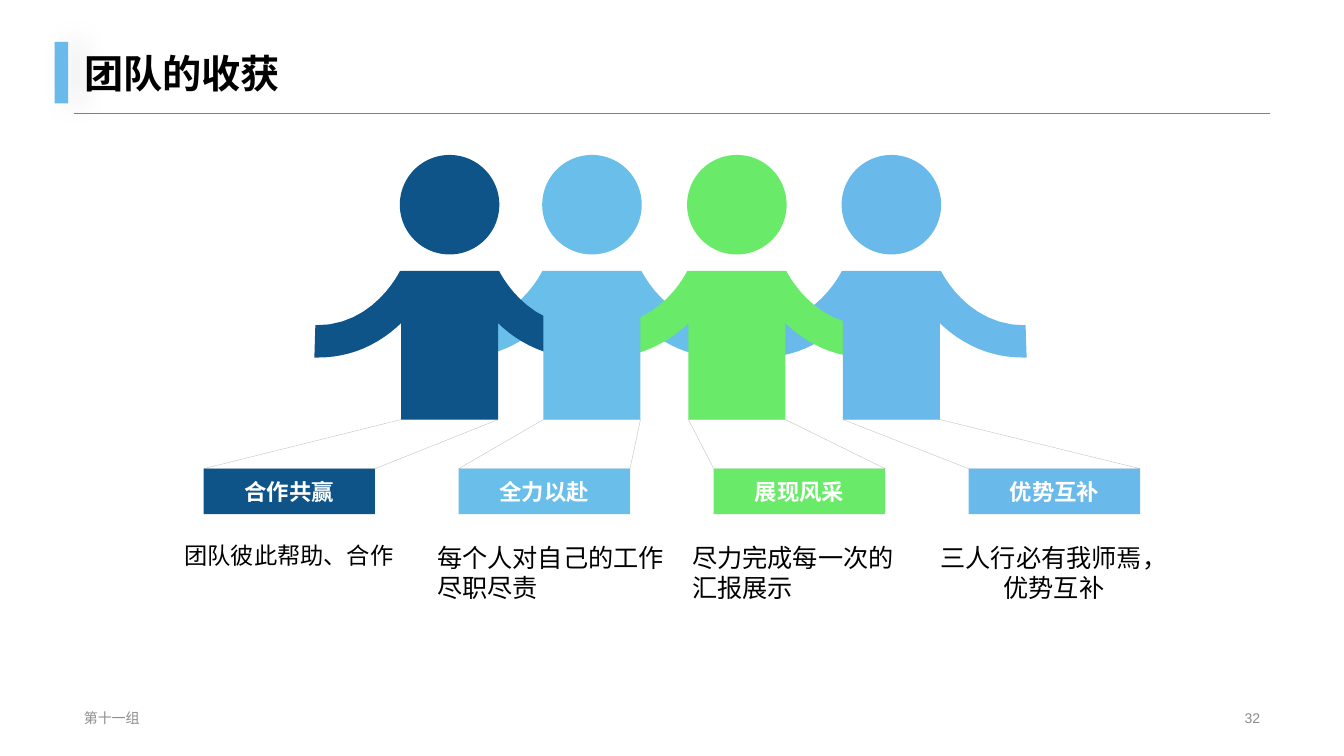
from dataclasses import dataclass

from lxml import etree
from pptx import Presentation
from pptx.dml.color import RGBColor
from pptx.enum.shapes import MSO_CONNECTOR, MSO_SHAPE
from pptx.enum.text import MSO_ANCHOR, PP_ALIGN
from pptx.oxml.ns import qn
from pptx.util import Emu, Inches, Pt

LEFT, CENTER, RIGHT = PP_ALIGN.LEFT, PP_ALIGN.CENTER, PP_ALIGN.RIGHT
MIDDLE, BOTTOM = MSO_ANCHOR.MIDDLE, MSO_ANCHOR.BOTTOM
RECT, OVAL, STRAIGHT = MSO_SHAPE.RECTANGLE, MSO_SHAPE.OVAL, MSO_CONNECTOR.STRAIGHT

COLORS = {
    "navy": "0F5489", "sky": "69BFEA", "green": "69EA69", "blue": "69B9EB",
    "black": "000000", "white": "FFFFFF", "rule": "808080", "edge": "BFBFBF",
    "footer": "8C8C8C", "shadow": "262626",
}
FONT = "Arial"
COLS, ROWS = 160, 90
SLIDE_W, SLIDE_H = Inches(13.333), Inches(7.5)

HEAD_TOP, HEAD_SIZE = 18.45, 11.85
BODY_TOP, BODY_W, BODY_H = 32.25, 11.55, 17.7
LABEL_LEFT, LABEL_TOP, LABEL_W, LABEL_H = 24.25, 55.8, 20.4, 5.4
CAPTION_LEFT, CAPTION_TOP, CAPTION_W = 20.5, 63.36, 30
CENTER_SHIFT = -1.1
PITCH = 30.36
CURVE_STEPS = 12

Point = tuple[float, float]
ARM_TIP: list[Point] = [(-9.84, 10.32), (-10.32, 10.32), (-10.2, 6.48)]
ARM_CURVES: list[list[Point]] = [
    [(-10.2, 6.48), (-3.24, 6.6), (-0.12, 0), (-0.12, 0)],
    [(3.36, 1.56), (3.36, 1.68), (2.4, 3.84), (0.24, 6)],
    [(0.24, 6), (-2.64, 8.88), (-6.12, 10.32), (-9.84, 10.32)],
]


@dataclass
class Member:
    color: str
    body_left: float
    label: str
    caption: list[str]
    align: PP_ALIGN = LEFT
    size: float = 18
    spacing: float = 1.0
    caption_h: float = 9


MEMBERS = [
    Member("navy", 47.75, "合作共赢", ["团队彼此帮助、合作"], CENTER, 16.6, 1.2, 5.04),
    Member("sky", 64.7, "全力以赴", ["每个人对自己的工作", "尽职尽责"]),
    Member("green", 81.95, "展现风采", ["尽力完成每一次的", "汇报展示"]),
    Member("blue", 100.35, "优势互补", ["三人行必有我师焉，", "优势互补"], CENTER),
]
ARM_ORDER = [3, 1, 0, 2]


def col(n: float) -> Emu:
    return Emu(round(SLIDE_W * n / COLS))


def row(n: float) -> Emu:
    return Emu(round(SLIDE_H * n / ROWS))


def box(x: float, y: float, w: float, h: float) -> tuple[Emu, Emu, Emu, Emu]:
    return col(x), row(y), col(w), row(h)


def rgb(name: str) -> RGBColor:
    return RGBColor.from_string(COLORS[name])


def paint(sp, fill: str, line: str | None = None):
    sp.shadow.inherit = False
    sp.fill.solid()
    sp.fill.fore_color.rgb = rgb(fill)
    if line:
        sp.line.color.rgb = rgb(line)
        sp.line.width = Pt(0.25)
    else:
        sp.line.fill.background()
    return sp


def write(sp, lines: list[str], *, size: float, color: str = "black", bold: bool = False,
          align: PP_ALIGN = LEFT, anchor: MSO_ANCHOR = MIDDLE, spacing: float = 1.0,
          wrap: bool = False) -> None:
    tf = sp.text_frame
    tf.word_wrap = wrap
    tf.vertical_anchor = anchor
    for i, line in enumerate(lines):
        p = tf.add_paragraph() if i else tf.paragraphs[0]
        p.alignment, p.line_spacing = align, spacing
        r = p.add_run()
        r.text = line
        r.font.name, r.font.size, r.font.bold = FONT, Pt(size), bold
        r.font.color.rgb = rgb(color)


def add_block(shapes, kind: MSO_SHAPE, x: float, y: float, w: float, h: float, fill: str):
    return paint(shapes.add_shape(kind, *box(x, y, w, h)), fill)


def add_outline(shapes, points: list[Point], fill: str, line: str | None = None) -> None:
    spots = [(col(x), row(y)) for x, y in points]
    builder = shapes.build_freeform(*spots[0], scale=1.0)
    builder.add_line_segments(spots[1:], close=True)
    paint(builder.convert_to_shape(), fill, line)


def bezier(curve: list[Point]) -> list[Point]:
    points = []
    for i in range(CURVE_STEPS + 1):
        t = i / CURVE_STEPS
        weights = ((1 - t) ** 3, 3 * t * (1 - t) ** 2, 3 * t * t * (1 - t), t ** 3)
        points.append((sum(k * x for k, (x, _) in zip(weights, curve)),
                       sum(k * y for k, (_, y) in zip(weights, curve))))
    return points


def add_arms(shapes, member: Member) -> None:
    arm = ARM_TIP + [point for curve in ARM_CURVES for point in bezier(curve)]
    for origin, side in ((member.body_left, 1), (member.body_left + BODY_W, -1)):
        add_outline(shapes, [(origin + side * x, BODY_TOP + y) for x, y in arm], member.color)


def add_funnel(shapes, member: Member, label_left: float) -> None:
    base = BODY_TOP + BODY_H
    add_outline(shapes, [(member.body_left, base), (label_left, LABEL_TOP),
                         (label_left + LABEL_W, LABEL_TOP),
                         (member.body_left + BODY_W, base)], "white", "edge")


def add_soft_shadow(sp) -> None:
    effects = sp._element.spPr.find(qn("a:effectLst"))
    shadow = etree.SubElement(effects, qn("a:outerShdw"), blurRad=str(Pt(20)),
                              dist=str(Pt(10)), dir="0", algn="l", rotWithShape="0")
    tint = etree.SubElement(shadow, qn("a:srgbClr"), val=COLORS["shadow"])
    etree.SubElement(tint, qn("a:alpha"), val="10000")


def add_frame(slide) -> None:
    shapes = slide.shapes
    rule = shapes.add_connector(STRAIGHT, col(8.8), row(13.45), col(151.2), row(13.45))
    rule.line.color.rgb = rgb("rule")
    rule.line.width = Pt(0.25)
    etree.SubElement(rule._element.spPr, qn("a:effectLst"))
    add_soft_shadow(add_block(shapes, RECT, 6.5, 5, 1.6, 7.3, "blue"))
    for text, x, w, align in (("第十一组", 8.8, 54.4, LEFT), ("32", 113, 38.2, RIGHT)):
        sp = shapes.add_textbox(*box(x, 84.1, w, 2.8))
        write(sp, [text], size=10, color="footer", align=align, wrap=True)
    title = shapes.title
    title.left, title.top, title.width, title.height = box(8.8, -1.2, 142.4, 13.4)
    write(title, ["团队的收获"], size=28, bold=True, anchor=BOTTOM, spacing=0.9, wrap=True)


def add_team(shapes) -> None:
    for i, member in enumerate(MEMBERS):
        add_funnel(shapes, member, LABEL_LEFT + i * PITCH)
    for i in ARM_ORDER:
        add_arms(shapes, MEMBERS[i])
    for i, member in enumerate(MEMBERS):
        head_left = member.body_left + (BODY_W - HEAD_SIZE) / 2
        add_block(shapes, OVAL, head_left, HEAD_TOP, HEAD_SIZE, HEAD_SIZE, member.color)
        add_block(shapes, RECT, member.body_left, BODY_TOP, BODY_W, BODY_H, member.color)
        label = add_block(shapes, RECT, LABEL_LEFT + i * PITCH, LABEL_TOP, LABEL_W, LABEL_H,
                          member.color)
        write(label, [member.label], size=16, color="white", bold=True, align=CENTER)
        shift = CENTER_SHIFT if member.align == CENTER else 0
        caption = shapes.add_textbox(*box(CAPTION_LEFT + i * PITCH + shift, CAPTION_TOP,
                                          CAPTION_W, member.caption_h))
        write(caption, member.caption, size=member.size, align=member.align,
              anchor=BOTTOM, spacing=member.spacing, wrap=True)


def main() -> None:
    prs = Presentation()
    prs.slide_width, prs.slide_height = SLIDE_W, SLIDE_H
    slide = prs.slides.add_slide(prs.slide_layouts[5])
    add_frame(slide)
    add_team(slide.shapes)
    prs.save("out.pptx")


if __name__ == "__main__":
    main()
